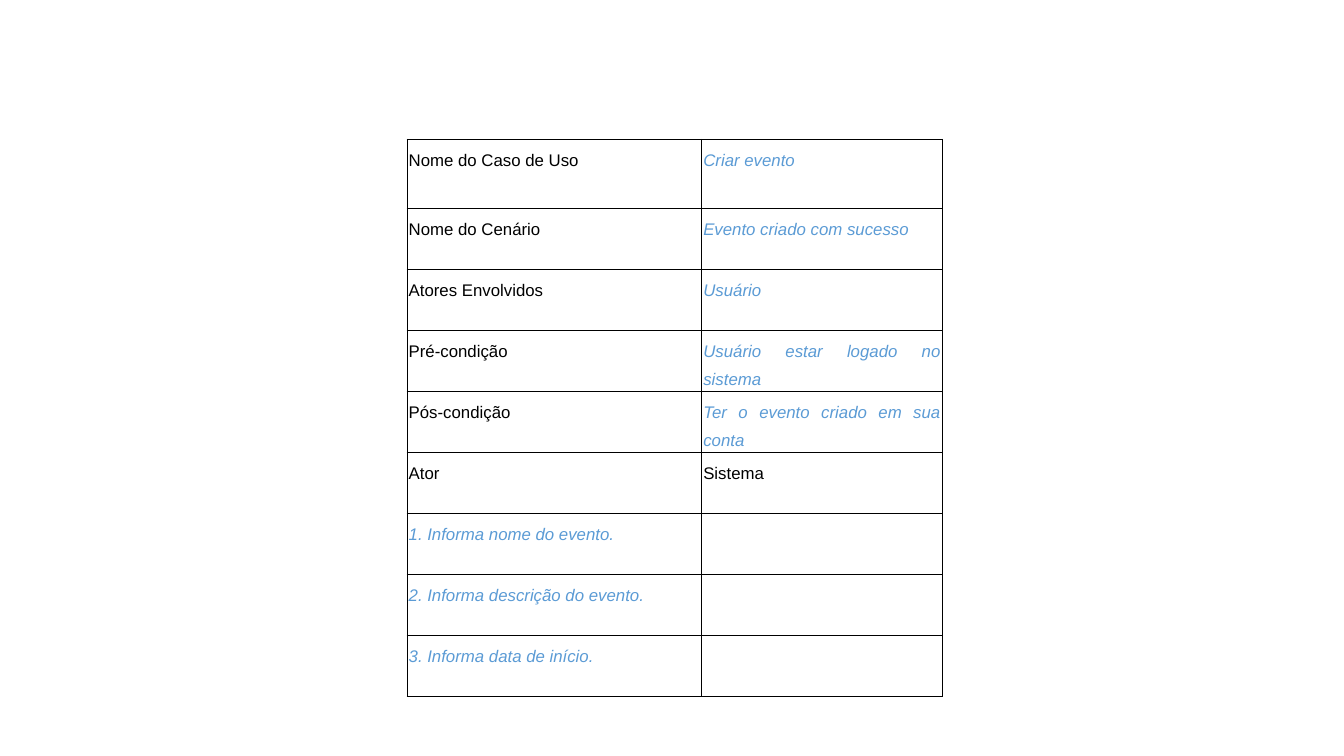
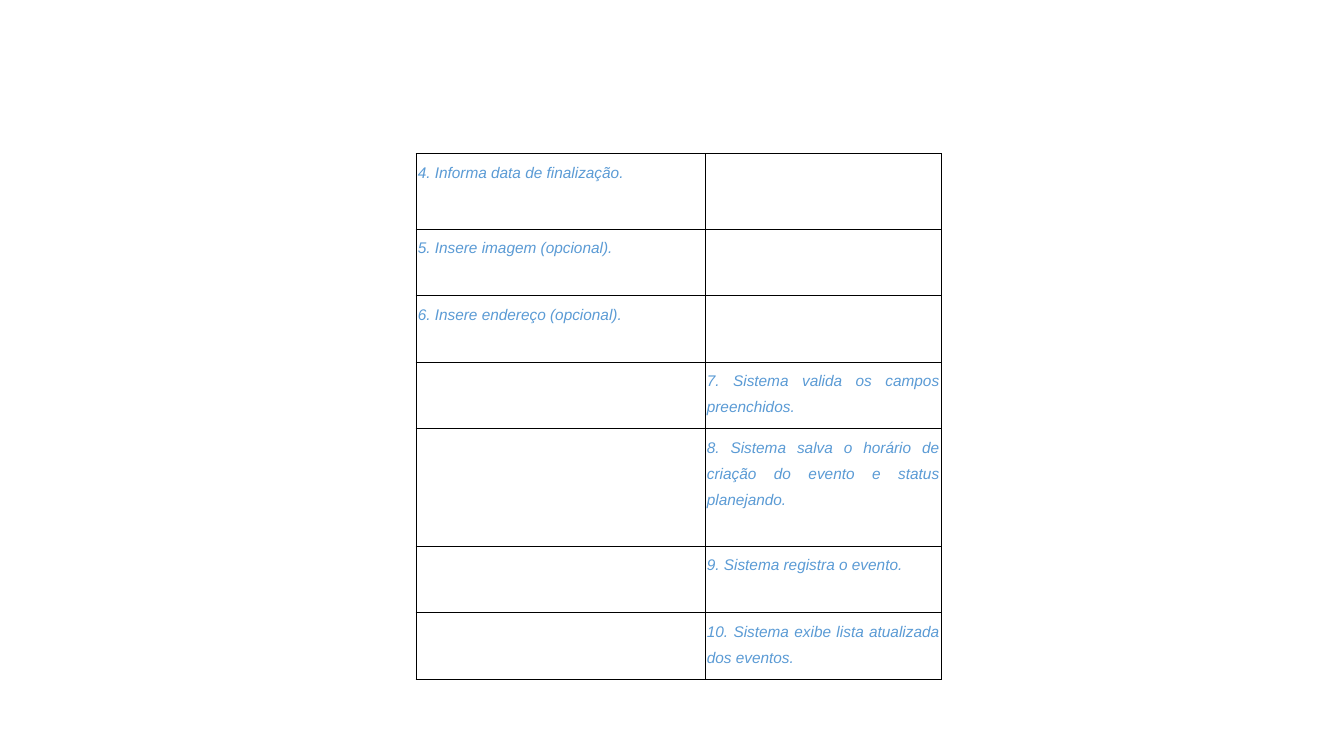
from lxml.etree import SubElement as Sub
from pptx import Presentation
from pptx.dml.color import RGBColor
from pptx.enum.text import PP_ALIGN as Align
from pptx.oxml.ns import qn
from pptx.util import Inches, Pt

WIDE, HIGH = 26.67, 15
INK, BLUE = "000000", "5B9BD5"
FONT = "Arial"
EDGE = 0.57
LABELS = {"Nome do Caso de Uso", "Nome do Cenário", "Atores Envolvidos",
          "Pré-condição", "Pós-condição", "Ator", "Sistema"}

CASE = [
    ("Nome do Caso de Uso", "Criar evento"),
    ("Nome do Cenário", "Evento criado com sucesso"),
    ("Atores Envolvidos", "Usuário"),
    ("Pré-condição", "Usuário estar logado no sistema"),
    ("Pós-condição", "Ter o evento criado em sua conta"),
    ("Ator", "Sistema"),
    ("1. Informa nome do evento.", ""),
    ("2. Informa descrição do evento.", ""),
    ("3. Informa data de início.", ""),
]
STEPS = [
    ("4. Informa data de finalização.", ""),
    ("5. Insere imagem (opcional).", ""),
    ("6. Insere endereço (opcional).", ""),
    ("", "7. Sistema valida os campos preenchidos."),
    ("", "8. Sistema salva o horário de criação do evento e status planejando."),
    ("", "9. Sistema registra o evento."),
    ("", "10. Sistema exibe lista atualizada dos eventos."),
]


def color(code):
    """Turn a hex string into a colour."""
    return RGBColor.from_string(code)


def write(cell, text, size, ink=INK, slant=False):
    """Put one justified, widely spaced paragraph into a cell."""
    cell.margin_left = cell.margin_right = Inches(0.04)
    cell.margin_top = cell.margin_bottom = Inches(0.05)
    para = cell.text_frame.paragraphs[0]
    para.alignment, para.line_spacing = Align.JUSTIFY, 1.5
    run = para.add_run()
    run.text = text
    font = run.font
    font.name, font.size, font.italic = FONT, Pt(size), slant
    font.color.rgb = color(ink)


def frame(cell):
    """Give a cell thin dark edges and no fill."""
    props = cell._tc.get_or_add_tcPr()
    for side in ("a:lnL", "a:lnR", "a:lnT", "a:lnB"):
        line = Sub(props, qn(side), w=str(Pt(EDGE)))
        fill = Sub(line, qn("a:solidFill"))
        Sub(fill, qn("a:srgbClr"), val=INK)
    cell.fill.background()


def grid(slide, box, rows, tall, size):
    """Draw a two-column scenario table in a box, with row heights in inches."""
    left, top, width = box
    shape = slide.shapes.add_table(len(rows), 2, Inches(left), Inches(top),
                                   Inches(width), Inches(sum(tall)))
    table = shape.table
    table.first_row = table.horz_banding = False
    for col, share in zip(table.columns, (0.55, 0.45)):
        col.width = Inches(width * share)
    for row, high, texts in zip(table.rows, tall, rows):
        row.height = Inches(high)
        for cell, text in zip(row.cells, texts):
            frame(cell)
            if text:
                label = text in LABELS
                write(cell, text, size, INK if label else BLUE, not label)


def main():
    """Build both slides and save them."""
    deck = Presentation()
    deck.slide_width, deck.slide_height = Inches(WIDE), Inches(HIGH)
    pages = [
        ((8.07, 2.76, 10.63), CASE, [1.37] + [1.21] * 8, 24),
        ((8.25, 3.04, 10.43), STEPS, [1.5] + [1.32] * 3 + [2.33] + [1.32] * 2, 22),
    ]
    for page in pages:
        grid(deck.slides.add_slide(deck.slide_layouts[6]), *page)
    deck.save("out.pptx")


if __name__ == "__main__":
    main()
